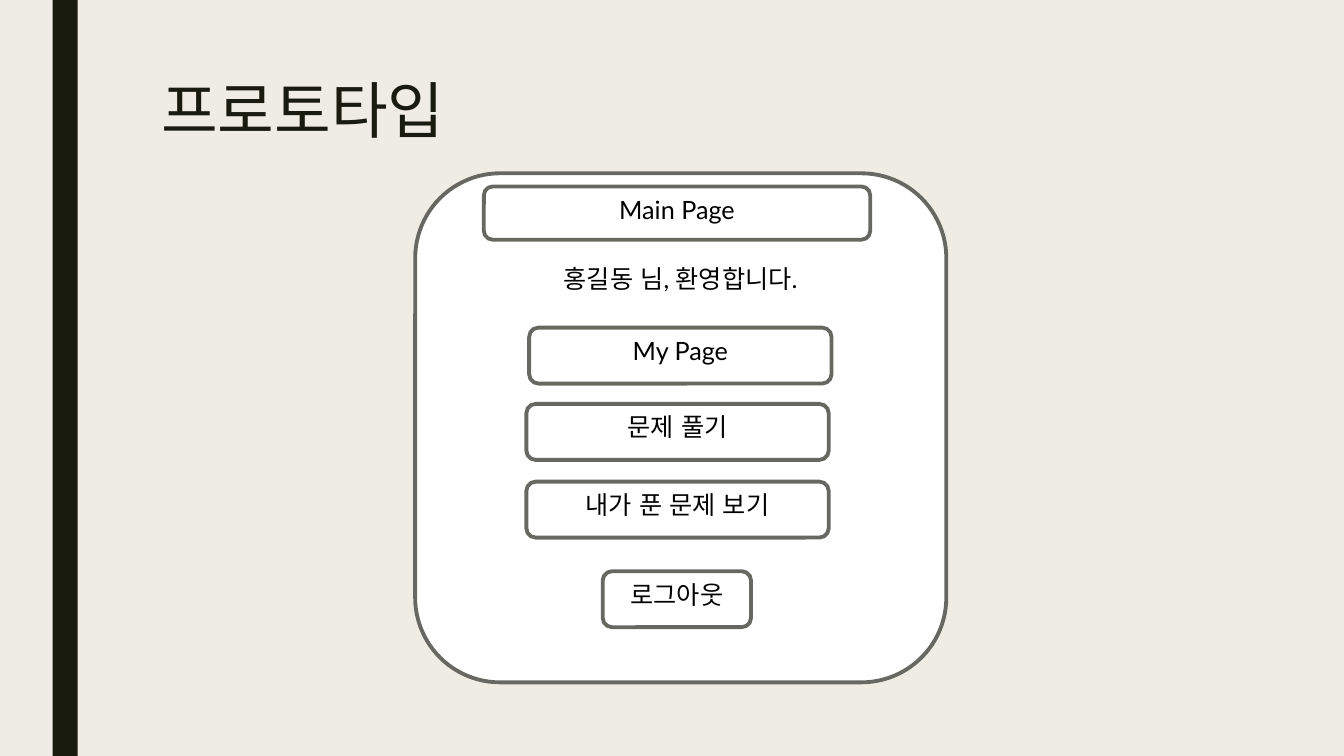
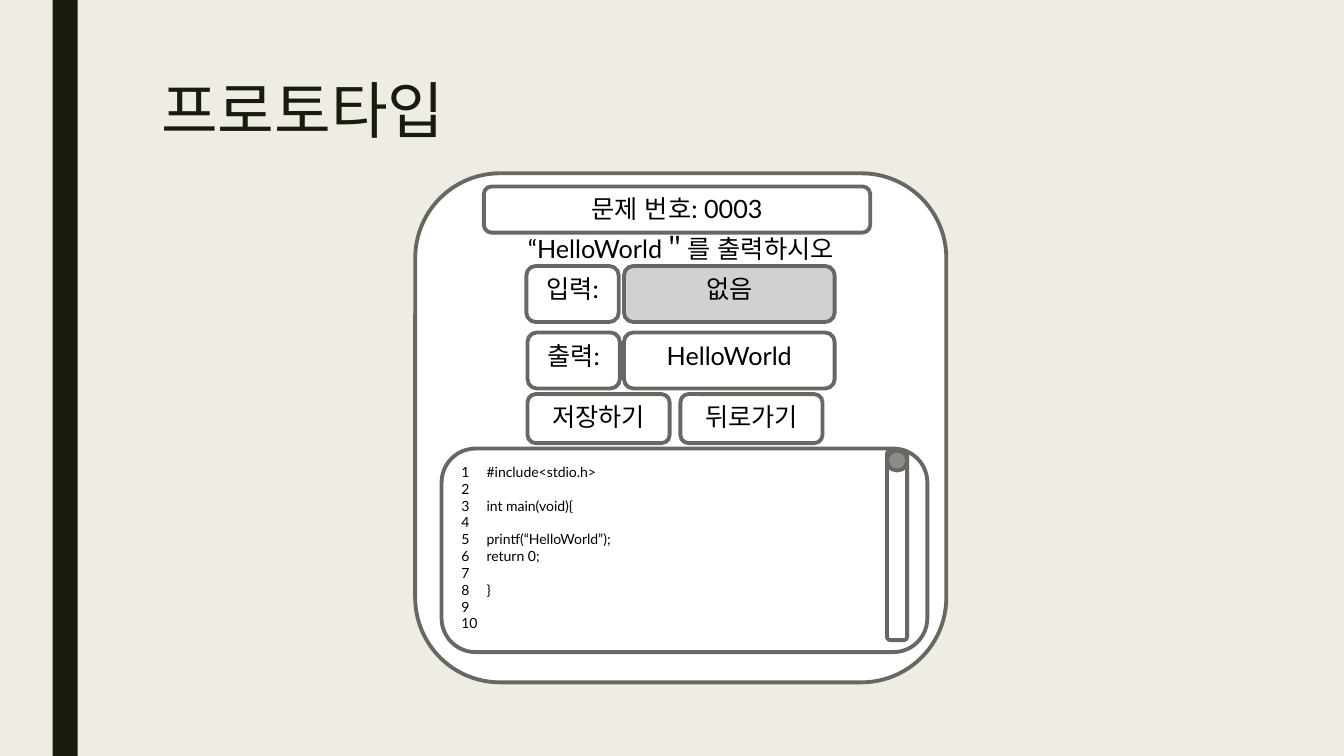
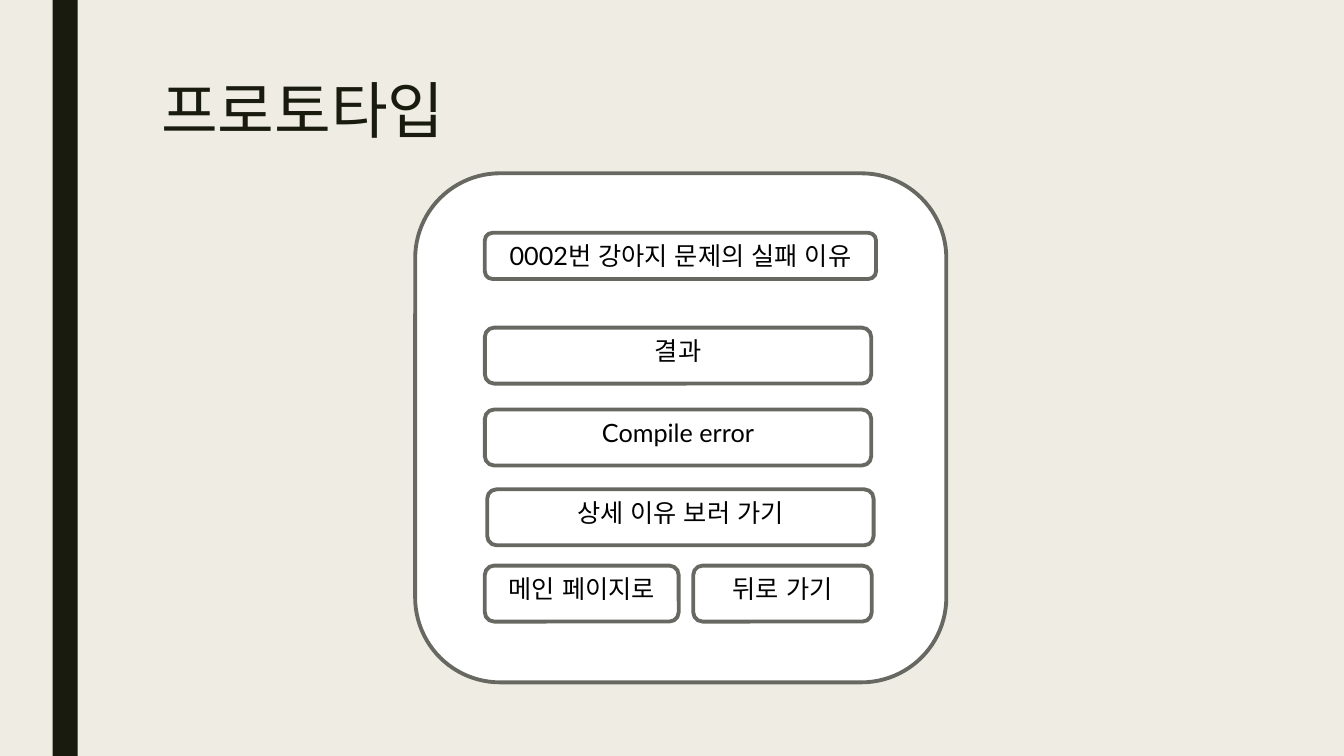
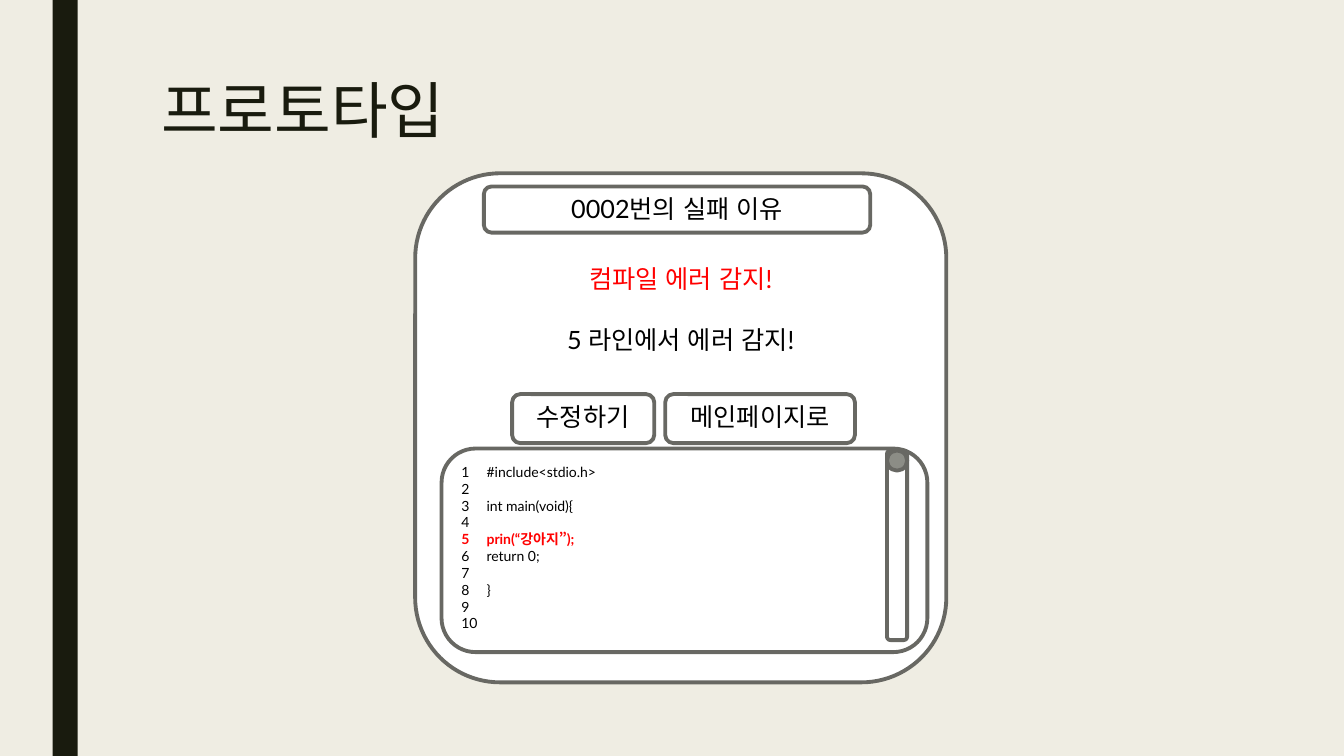
"""Build four slides of wireframes for a coding exercise site."""
from lxml.etree import SubElement
from pptx import Presentation
from pptx.dml.color import RGBColor
from pptx.enum.lang import MSO_LANGUAGE_ID as Language
from pptx.enum.shapes import MSO_SHAPE as Shape
from pptx.enum.text import MSO_ANCHOR as Anchor
from pptx.enum.text import MSO_AUTO_SIZE as AutoSize
from pptx.enum.text import PP_ALIGN as Align
from pptx.oxml.ns import qn
from pptx.util import Pt

PAPER = RGBColor(0xEF, 0xED, 0xE3)
INK = RGBColor(0x19, 0x1B, 0x0E)
OUTLINE = RGBColor(0x68, 0x68, 0x63)
WHITE = RGBColor(0xFF, 0xFF, 0xFF)
BLACK = RGBColor(0x00, 0x00, 0x00)
RED = RGBColor(0xFF, 0x00, 0x00)
DISABLED = RGBColor(0xD1, 0xD1, 0xCF)
KNOB = RGBColor(0x8C, 0x8D, 0x86)

FONT = "Lato"
LINE_HEIGHT = 21.6
INSET = 3.6
BUTTON_HEIGHT = 40
HEADER_HEIGHT = 33
ACTION_TOP, ACTION_HEIGHT = 281.5, 35
CODE_INDENT = 18


def format_paragraph(paragraph, size, color, align=Align.LEFT, bold=False):
    paragraph.alignment = align
    for run in paragraph.runs:
        font = run.font
        font.name, font.size, font.bold = FONT, Pt(size), bold
        font.color.rgb = color
        font.language_id = Language.KOREAN


def add_box(slide, left, top, width, height, text="", fill=WHITE, kind=Shape.ROUNDED_RECTANGLE):
    shape = slide.shapes.add_shape(kind, Pt(left), Pt(top), Pt(width), Pt(height))
    shape.shadow.inherit = False
    shape.fill.solid()
    shape.fill.fore_color.rgb = fill
    shape.line.color.rgb = OUTLINE
    shape.line.width = Pt(2.75)
    text_frame = shape.text_frame
    text_frame.vertical_anchor = Anchor.TOP
    text_frame.text = text
    for paragraph in text_frame.paragraphs:
        format_paragraph(paragraph, 18, BLACK, Align.CENTER)
    return shape


def add_header(slide, text, height=HEADER_HEIGHT):
    add_box(slide, 345.6, 133.2, 276, height, text)


def add_panel(slide, text="", lines_above=0):
    panel = add_box(slide, 296.6, 123.8, 379.4, 363.6, text)
    panel.text_frame.margin_top = Pt(INSET + lines_above * LINE_HEIGHT)
    return panel


def number_paragraph(paragraph, number):
    properties = paragraph._p.get_or_add_pPr()
    properties.set("marL", str(Pt(CODE_INDENT)))
    properties.set("indent", str(-Pt(CODE_INDENT)))
    numbering = SubElement(properties, qn("a:buAutoNum"))
    numbering.set("type", "arabicPlain")
    numbering.set("startAt", str(number))


def add_code_editor(slide, statement, error=False):
    code = ["#include<stdio.h>", "", "int main(void){", "", statement, "return 0;", "", "}", "", ""]
    lines = [line or str(number) for number, line in enumerate(code, 1)]
    editor = add_box(slide, 315.4, 320.4, 347, 145.4, "\n".join(lines))
    for number, paragraph in enumerate(editor.text_frame.paragraphs, 1):
        wrong = error and code[number - 1] == statement
        format_paragraph(paragraph, 10, RED if wrong else BLACK, bold=wrong)
        if code[number - 1]:
            number_paragraph(paragraph, number)
    add_box(slide, 633.6, 321.8, 14.4, 135.4)
    add_box(slide, 633.6, 321.8, 14.4, 14.4, fill=KNOB, kind=Shape.OVAL)


def style_master(presentation, slide):
    master = presentation.slide_master
    master.background.fill.solid()
    master.background.fill.fore_color.rgb = PAPER
    stripe = add_box(slide, 37.5, 0, 18, 540, fill=INK, kind=Shape.RECTANGLE)
    stripe.line.fill.background()
    stripe.element.nvSpPr.cNvPr.id = 20
    master.shapes.element.insert(2, stripe.element)


def add_prototype_slide(presentation, layout):
    slide = presentation.slides.add_slide(layout)
    title = slide.shapes.title
    title.text_frame.text = "프로토타입"
    title.text_frame.vertical_anchor = Anchor.TOP
    title.text_frame.auto_size = AutoSize.NONE
    paragraph = title.text_frame.paragraphs[0]
    paragraph.line_spacing = 0.89
    format_paragraph(paragraph, 44, INK)
    return slide


def fill_main_page(slide):
    add_panel(slide, "홍길동 님, 환영합니다.", 2)
    add_header(slide, "Main Page", 38)
    add_box(slide, 378, 234, 216, BUTTON_HEIGHT, "My Page")
    for top, text in ((288.5, "문제 풀기"), (344, "내가 푼 문제 보기")):
        add_box(slide, 376, top, 216, BUTTON_HEIGHT, text)
    add_box(slide, 430.5, 408, 106, BUTTON_HEIGHT, "로그아웃")


def fill_exercise_page(slide):
    add_panel(slide, "“HelloWorld＂를 출력하시오", 1)
    add_header(slide, "문제 번호: 0003")
    rows = ((376, 190, "입력:", "없음", DISABLED), (376.8, 237.5, "출력:", "HelloWorld", WHITE))
    for left, top, label, value, fill in rows:
        add_box(slide, left, top, 66, BUTTON_HEIGHT, label)
        add_box(slide, 445.7, top, 150.5, BUTTON_HEIGHT, value, fill)
    add_code_editor(slide, "printf(“HelloWorld”);")
    for left, text in ((376.8, "저장하기"), (486, "뒤로가기")):
        add_box(slide, left, ACTION_TOP, 101.5, ACTION_HEIGHT, text)


def fill_failure_page(slide):
    add_panel(slide)
    add_box(slide, 346.3, 166.3, 279.5, HEADER_HEIGHT, "0002번 강아지 문제의 실패 이유")
    buttons = (
        (346.3, 234, 276, "결과"),
        (346.3, 292.5, 276, "Compile error"),
        (348, 349.5, 276, "상세 이유 보러 가기"),
        (346.3, 404, 138.5, "메인 페이지로"),
        (495.2, 404, 127.5, "뒤로 가기"),
    )
    for left, top, width, text in buttons:
        add_box(slide, left, top, width, BUTTON_HEIGHT, text)


def fill_error_page(slide):
    panel = add_panel(slide, "컴파일 에러 감지!\n5 라인에서 에러 감지!", 2)
    alert, location = panel.text_frame.paragraphs
    format_paragraph(alert, 18, RED, Align.CENTER)
    location.space_before = Pt(LINE_HEIGHT)
    add_header(slide, "0002번의 실패 이유")
    add_code_editor(slide, "prin(“강아지”);", error=True)
    for left, width, text in ((365.8, 101.5, "수정하기"), (475.2, 135.5, "메인페이지로")):
        add_box(slide, left, ACTION_TOP, width, ACTION_HEIGHT, text)


def main():
    presentation = Presentation()
    presentation.slide_width, presentation.slide_height = Pt(960), Pt(540)
    layout = presentation.slide_layouts[5]
    title = layout.placeholders[0]
    title.left, title.top, title.width, title.height = Pt(108), Pt(54), Pt(756), Pt(116.64)
    pages = (fill_main_page, fill_exercise_page, fill_failure_page, fill_error_page)
    for fill_page in pages:
        fill_page(add_prototype_slide(presentation, layout))
    style_master(presentation, presentation.slides[0])
    presentation.save("out.pptx")


if __name__ == "__main__":
    main()
